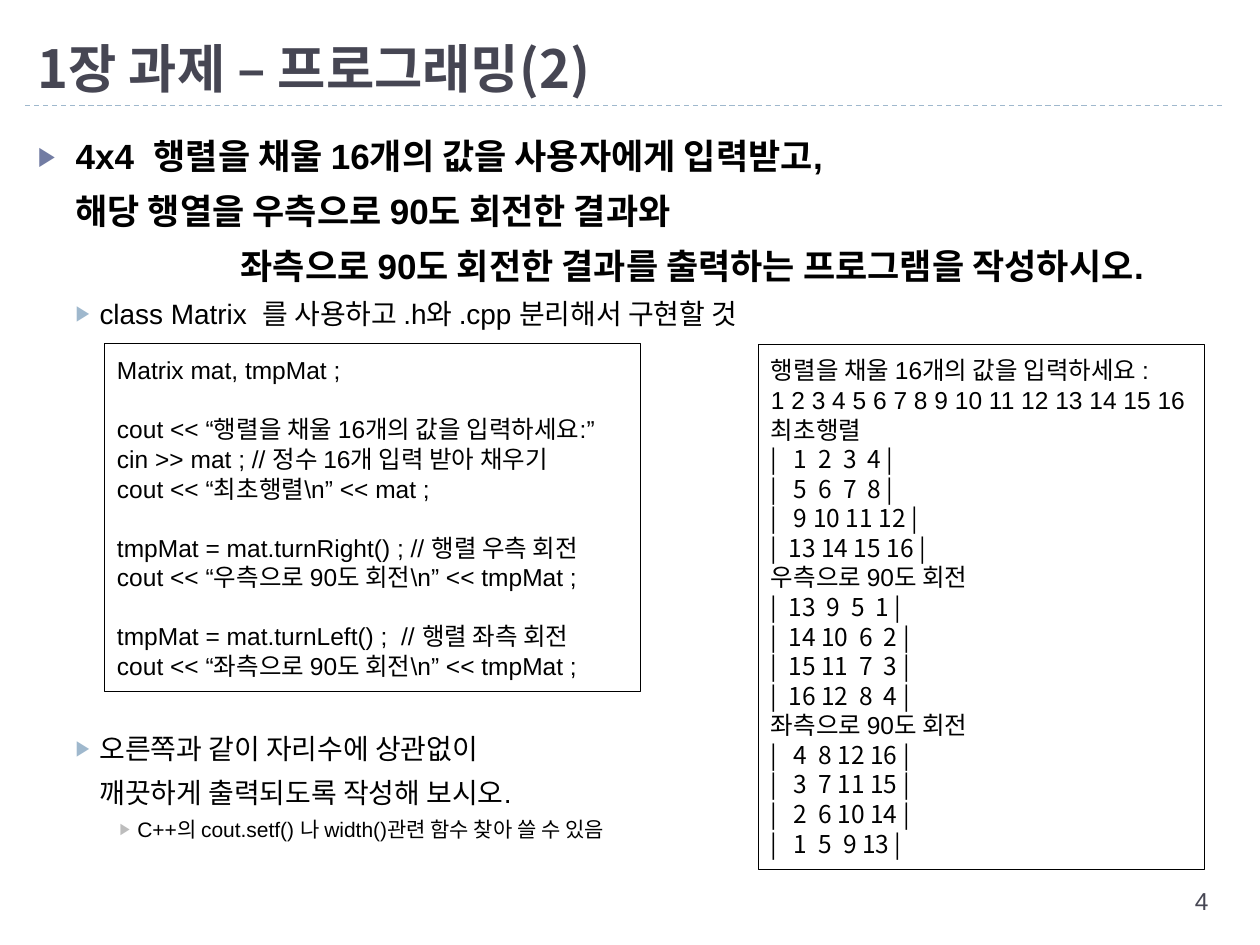
from dataclasses import dataclass

from lxml.etree import SubElement
from pptx import Presentation
from pptx.dml.color import RGBColor as Color
from pptx.enum.dml import MSO_LINE_DASH_STYLE as Dash
from pptx.enum.shapes import MSO_CONNECTOR as Connector, MSO_SHAPE as Shape
from pptx.enum.text import MSO_ANCHOR as Anchor, MSO_AUTO_SIZE as AutoSize, PP_ALIGN as Align
from pptx.oxml.ns import qn
from pptx.util import Inches, Pt


@dataclass(frozen=True)
class Theme:
    """Colours, fonts and type sizes of the deck."""
    ink: str = "000000"
    heading: str = "464653"
    rule: str = "9FB8CD"
    bullets: tuple = ("727CA3", "9FB8CD", "BDBDBD")
    latin: str = "Arial"
    korean: str = "Noto Sans CJK KR"
    title_size: int = 30
    level_sizes: tuple = (20, 16, 12)
    level_pitches: tuple = (31.2, 25, 18.7)
    level_margins: tuple = (0.3, 0.49, 0.79)
    level_hangs: tuple = (0.3, 0.19, 0.14)
    small_size: int = 14
    small_pitch: float = 16.9


class SlideBuilder:
    """Places styled elements on a grid of 100 columns by 75 rows."""

    def __init__(self, deck, theme):
        """Open a title and content page."""
        self.theme = theme
        self.cell = deck.slide_width / 100
        self.page = deck.slides.add_slide(deck.slide_layouts[1])

    def grid(self, *cells):
        """Turn grid cells into slide lengths."""
        return [round(cell * self.cell) for cell in cells]

    def place(self, box, cells):
        """Move a box to its grid cells."""
        box.left, box.top, box.width, box.height = self.grid(*cells)

    def add_text(self, para, text, size, color=None, font=None, bold=False):
        """Add text to a paragraph, with a line break at each newline."""
        for index, line in enumerate(text.split("\n")):
            if index:
                para.add_line_break()
            span = para.add_run()
            span.text = line
            span.font.size, span.font.bold = Pt(size), bold
            span.font.name = font or self.theme.latin
            span.font.color.rgb = Color.from_string(color or self.theme.ink)
            SubElement(span.font._element, qn("a:ea"), typeface=self.theme.korean)

    def paragraphs(self, frame, count):
        """Return the given number of paragraphs of a text frame."""
        return [frame.paragraphs[0]] + [frame.add_paragraph() for _ in range(count - 1)]

    def title(self, text, cells):
        """Fill the title placeholder."""
        box = self.page.shapes.title
        self.place(box, cells)
        frame = box.text_frame
        frame.auto_size, frame.vertical_anchor = AutoSize.NONE, Anchor.BOTTOM
        para = frame.paragraphs[0]
        para.alignment = Align.LEFT
        self.add_text(para, text, self.theme.title_size, self.theme.heading, self.theme.korean, True)

    def indent(self, para, level, extra):
        """Set the bullet and indent of a list paragraph."""
        theme = self.theme
        props = para._p.get_or_add_pPr()
        props.set("marL", str(Inches(theme.level_margins[level] + extra)))
        props.set("indent", "0" if extra else str(-Inches(theme.level_hangs[level])))
        if extra:
            SubElement(props, qn("a:buNone"))
            return
        color = SubElement(props, qn("a:buClr"))
        SubElement(color, qn("a:srgbClr"), val=theme.bullets[level])
        SubElement(props, qn("a:buSzPct"), val="76000")
        SubElement(props, qn("a:buFont"), typeface=theme.latin)
        SubElement(props, qn("a:buChar"), char="▶")

    def body(self, items, cells):
        """Fill the body placeholder with (level, gap, extra indent, text) items."""
        box = self.page.placeholders[1]
        self.place(box, cells)
        frame = box.text_frame
        frame.auto_size, frame.vertical_anchor = AutoSize.NONE, Anchor.TOP
        for para, (level, gap, extra, text) in zip(self.paragraphs(frame, len(items)), items):
            para.level, para.alignment = level, Align.LEFT
            para.space_before, para.space_after = Pt(gap), Pt(0)
            para.line_spacing = Pt(self.theme.level_pitches[level])
            self.indent(para, level, extra)
            self.add_text(para, text, self.theme.level_sizes[level], bold=level == 0)

    def panel(self, blocks, cells, weight, block_gap=0):
        """Draw an outlined box holding blocks of lines."""
        box = self.page.shapes.add_shape(Shape.RECTANGLE, *self.grid(*cells))
        box.shadow.inherit = False
        box.fill.background()
        box.line.color.rgb = Color.from_string(self.theme.ink)
        box.line.width = Pt(weight)
        frame = box.text_frame
        frame.word_wrap, frame.vertical_anchor = True, Anchor.MIDDLE
        frame.margin_right = 0
        lines = [(line, bool(number and not row)) for number, block in enumerate(blocks)
                 for row, line in enumerate(block)]
        for para, (line, opens) in zip(self.paragraphs(frame, len(lines)), lines):
            para.alignment = Align.LEFT
            para.line_spacing = Pt(self.theme.small_pitch)
            para.space_before = Pt(block_gap if opens else 0)
            font = self.theme.korean if line.startswith("|") else self.theme.latin
            self.add_text(para, line, self.theme.small_size, font=font)

    def rule(self, left, right, row):
        """Draw a dashed horizontal line."""
        line = self.page.shapes.add_connector(Connector.STRAIGHT, *self.grid(left, row, right, row))
        line.line.color.rgb = Color.from_string(self.theme.rule)
        line.line.width, line.line.dash_style = Pt(0.75), Dash.DASH
        SubElement(line._element.spPr, qn("a:effectLst"))

    def number(self, text, cells):
        """Add the page number."""
        frame = self.page.shapes.add_textbox(*self.grid(*cells)).text_frame
        frame.word_wrap = True
        para = frame.paragraphs[0]
        para.alignment = Align.RIGHT
        self.add_text(para, text, self.theme.small_size, self.theme.heading)


def matrix_lines(matrix):
    """Format a matrix as console rows."""
    return ["| " + "".join(f"{value:3d}" for value in row) + " |" for row in matrix]


deck = Presentation()
deck.slide_width, deck.slide_height = Inches(10), Inches(7.5)
slide = SlideBuilder(deck, Theme())

slide.rule(2, 97.2, 8.4)
slide.title("1장 과제 – 프로그래밍(2)", (2, 1.7, 95.3, 6.7))
slide.number("4", (75.2, 69.8, 21.7, 4))
slide.body([
    (0, 0, 0, "4x4  행렬을 채울 16개의 값을 사용자에게 입력받고,\n해당 행열을 우측으로 90도 회전한 결과와"),
    (0, 0, 1.31, "좌측으로 90도 회전한 결과를 출력하는 프로그램을 작성하시오."),
    (1, 0, 0, "class Matrix  를 사용하고 .h와 .cpp 분리해서 구현할 것"),
    (1, 224, 0, "오른쪽과 같이 자리수에 상관없이\n깨끗하게 출력되도록 작성해 보시오."),
    (2, 0, 0, "C++의 cout.setf() 나 width()관련 함수 찾아 쓸 수 있음"),
], (2, 9.2, 96.1, 63.8))

matrix = [range(start, start + 4) for start in range(1, 17, 4)]
turned_right = zip(*reversed(matrix))
turned_left = reversed(list(zip(*matrix)))
slide.panel([
    ["행렬을 채울 16개의 값을 입력하세요 :", " ".join(str(value) for value in range(1, 17))],
    ["최초행렬", *matrix_lines(matrix)],
    ["우측으로 90도 회전", *matrix_lines(turned_right)],
    ["좌측으로 90도 회전", *matrix_lines(turned_left)],
], (60.2, 27.3, 35.4, 41.7), 0.25)
slide.panel([
    ["Matrix mat, tmpMat ;"],
    ["cout << “행렬을 채울 16개의 값을 입력하세요:”",
     "cin >> mat ; // 정수 16개 입력 받아 채우기",
     "cout << “최초행렬\\n” << mat ;"],
    ["tmpMat = mat.turnRight() ; // 행렬 우측 회전",
     "cout << “우측으로 90도 회전\\n” << tmpMat ;"],
    ["tmpMat = mat.turnLeft() ;  // 행렬 좌측 회전",
     "cout << “좌측으로 90도 회전\\n” << tmpMat ;"],
], (8.3, 27.3, 42.5, 27.6), 0.5, slide.theme.small_pitch)

deck.save("out.pptx")
